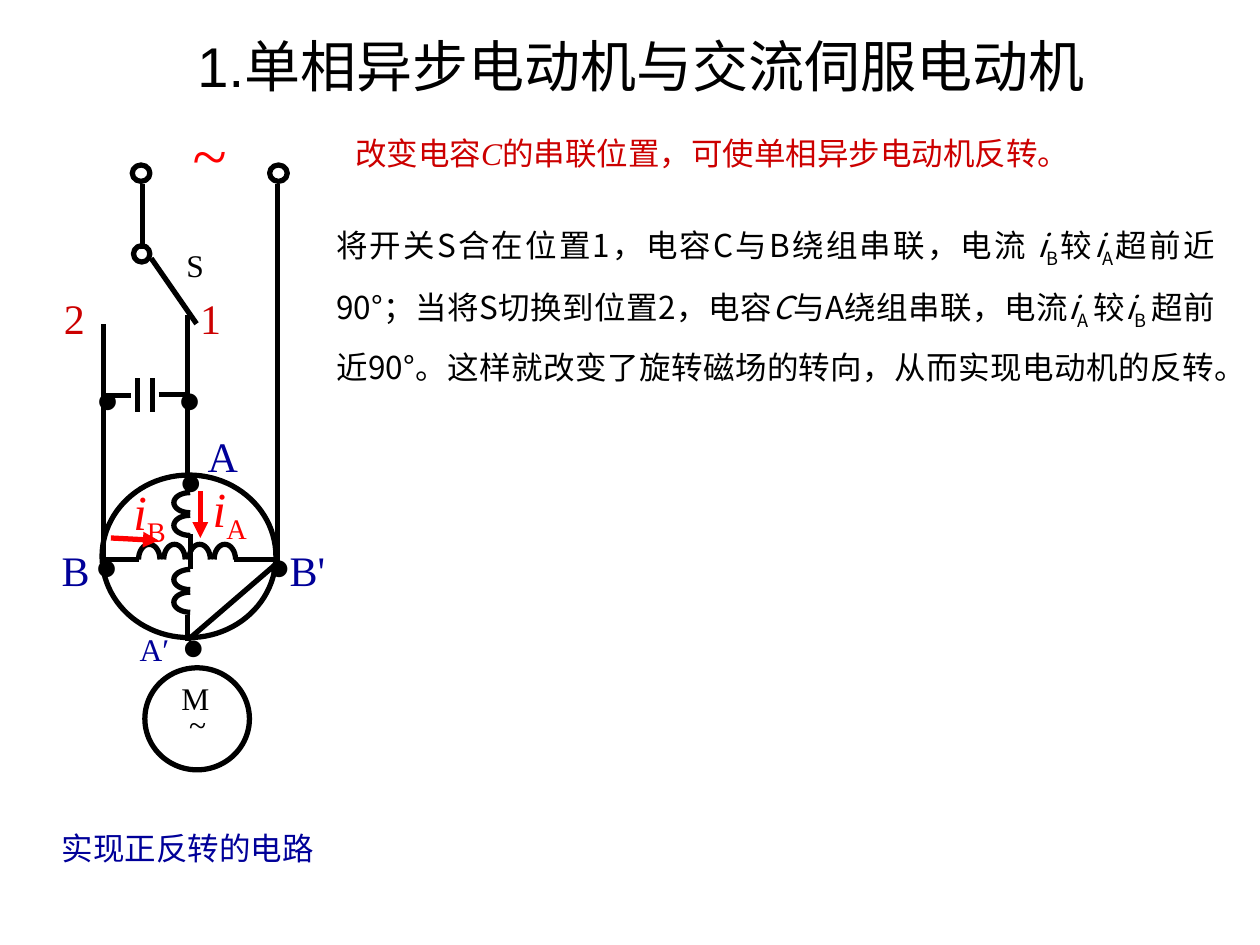
from collections import namedtuple
from math import cos, pi, sin

from lxml.etree import SubElement
from pptx import Presentation
from pptx.dml.color import RGBColor
from pptx.enum.shapes import MSO_CONNECTOR as Connector, MSO_SHAPE as Shape
from pptx.enum.text import MSO_ANCHOR as Anchor, MSO_AUTO_SIZE as AutoSize, PP_ALIGN as Align
from pptx.oxml.ns import qn
from pptx.util import Emu, Pt

EMU_PER_PX = 9144
SERIF = "Times New Roman"
SANS = "Noto Sans CJK SC"
BLACK, RED, CRIMSON, NAVY = "000000", "FF0000", "CC0000", "000099"

Box = namedtuple("Box", "left top width height")


def px(length):
    return Emu(round(length * EMU_PER_PX))


def color(value):
    return RGBColor.from_string(value)


def inside(box, left, top, width, height):
    return Box(box.left + left, box.top + top, width, height)


def add_text(page, box, paragraphs, size, ink=BLACK, font=SERIF, wrap=False,
             align=Align.LEFT, spacing=None):
    shape = page.shapes.add_textbox(*map(px, box))
    frame = shape.text_frame
    frame.word_wrap = wrap
    frame.auto_size = AutoSize.SHAPE_TO_FIT_TEXT
    for index, spans in enumerate(paragraphs):
        para = frame.paragraphs[0] if index == 0 else frame.add_paragraph()
        para.alignment = align
        if spacing:
            para.line_spacing = spacing
        para.font.size = Pt(size)
        para.font.name = font
        para.font.color.rgb = color(ink)
        for text, style in spans:
            span = para.add_run()
            span.text = text
            if style == "italic":
                span.font.italic = True
            elif style == "sub":
                span.font._element.set("baseline", "-25000")
    return frame


def add_label(page, box, place, text, size, ink=BLACK):
    add_text(page, inside(box, *place), [[(text, "")]], size, ink)


def add_dots(page, box, corners):
    for left, top in corners:
        add_label(page, box, (left, top, 40, 77), "•", 40)


def add_wire(page, box, start_x, start_y, end_x, end_y, ink=BLACK, arrow=False):
    wire = page.shapes.add_connector(
        Connector.STRAIGHT, px(box.left + start_x), px(box.top + start_y),
        px(box.left + end_x), px(box.top + end_y))
    wire.line.width = Pt(3)
    wire.line.color.rgb = color(ink)
    if arrow:
        SubElement(wire.line._get_or_add_ln(), qn("a:tailEnd"), type="triangle")
    SubElement(wire._element.spPr, qn("a:effectLst"))


def add_wires(page, box, wires):
    for wire in wires:
        add_wire(page, box, *wire)


def outline(shape):
    shape.shadow.inherit = False
    shape.fill.background()
    shape.line.width = Pt(3)
    shape.line.color.rgb = color(BLACK)


def add_ring(page, box, *place):
    outline(page.shapes.add_shape(Shape.OVAL, *map(px, inside(box, *place))))


def add_turn(page, box, center_x, center_y, radius_x, radius_y, start_angle):
    angles = [start_angle + pi * step / 16 for step in range(17)]
    points = [(px(box.left + center_x + radius_x * cos(angle)),
               px(box.top + center_y - radius_y * sin(angle))) for angle in angles]
    builder = page.shapes.build_freeform(*points[0])
    builder.add_line_segments(points[1:], close=False)
    outline(builder.convert_to_shape())


def draw_supply(page, box):
    for left, top, width in ((184, 51, 14), (75, 51, 14), (76, 115, 13)):
        add_ring(page, box, left, top, width, 13)
    add_wires(page, box, [
        (190, 366, 190, 66), (83, 118, 83, 66), (90, 125, 126, 177),
        (119, 170, 119, 295), (52, 366, 52, 177)])
    add_label(page, box, (113, 7, 46, 70), "~", 36, RED)
    add_label(page, box, (108, 110, 39, 50), "S", 18)
    for text, left in (("1", 119), ("2", 11)):
        add_label(page, box, (left, 147, 37, 50), text, 24, CRIMSON)


def draw_capacitor(page, box):
    add_wires(page, box, [(plate, 247, plate, 220) for plate in (79, 91)])
    add_wires(page, box, [(51, 234, 74, 234), (96, 233, 118, 233)])
    add_dots(page, box, [(36, 197), (101, 197)])


def draw_windings(page, box):
    add_ring(page, box, 51, 297, 138, 129)
    for index in range(4):
        add_turn(page, box, 88.5 + 20 * index, 364, 8.5, 12, 0)
    for top in (311, 329, 372, 390):
        add_turn(page, box, 121, top + 8, 13, 8, pi / 2)
    add_wires(page, box, [
        (51, 364, 80, 364), (156, 364, 192, 364), (121, 344, 121, 372),
        (119, 408, 119, 429), (119, 310, 119, 295), (119, 428, 191, 366)])
    add_dots(page, box, [(102, 262), (35, 330), (172, 330), (104, 393)])
    add_wire(page, box, 129, 310, 129, 347, RED, arrow=True)
    add_wire(page, box, 58, 347, 96, 349, RED, arrow=True)
    for phase, place in (("A", (129, 295, 50, 57)), ("B", (66, 297, 48, 57))):
        add_text(page, inside(box, *place), [[("i", "italic"), (phase, "sub")]], 28, RED)
    for text, place, size in (
            ("A", (125, 257, 44, 50), 24), ("B", (9, 347, 42, 50), 24),
            ("B'", (190, 347, 52, 50), 24), ("A′", (71, 415, 53, 50), 18)):
        add_label(page, box, place, text, size, NAVY)


def draw_motor(page, box):
    add_ring(page, box, 0, 0, 83, 81)
    add_text(page, inside(box, 19, 12, 52, 66), [[("M", "")], [(" ~", "")]], 18, spacing=0.7)


def draw_title(page, box):
    frame = add_text(page, box, [[("1.单相异步电动机与交流伺服电动机", "")]], 32,
                     font="Arial", wrap=True, align=Align.CENTER)
    frame.auto_size = AutoSize.NONE
    frame.vertical_anchor = Anchor.MIDDLE


def draw_explanation(page, box):
    add_text(page, inside(box, 15, 0, 653, 46), [[
        ("改变电容", ""), ("C", "italic"), ("的串联位置，可使单相异步电动机反转。", "")]],
        18, CRIMSON, wrap=True, spacing=1.35)
    add_text(page, inside(box, 0, 68, 717, 142), [[
        ("将开关S合在位置1，电容C与B绕组串联，电流 ", ""), ("i", "italic"), ("B", "sub"),
        ("较", ""), ("i", "italic"), ("A", "sub"),
        ("超前近90°；当将S切换到位置2，电容", ""), ("C", "italic"),
        ("与A绕组串联，电流", ""), ("i", "italic"), ("A ", "sub"),
        ("较", ""), ("i", "italic"), ("B ", "sub"),
        ("超前近90°。这样就改变了旋转磁场的转向，从而实现电动机的反转。", "")]],
        18, font=SANS, wrap=True, align=Align.JUSTIFY, spacing=1.45)


def draw_caption(page, box):
    add_text(page, box, [[("实现正反转的电路", "")]], 18, NAVY, wrap=True)


def main():
    deck = Presentation()
    deck.slide_width, deck.slide_height = px(1000), px(750)
    page = deck.slides.add_slide(deck.slide_layouts[6])
    circuit = Box(30, 80, 242, 531)
    draw_supply(page, circuit)
    draw_capacitor(page, circuit)
    draw_windings(page, circuit)
    draw_motor(page, inside(circuit, 85, 450, 83, 81))
    draw_explanation(page, Box(257, 91, 717, 210))
    draw_caption(page, Box(39, 653, 246, 40))
    draw_title(page, Box(59, 16, 900, 71))
    deck.save("out.pptx")


if __name__ == "__main__":
    main()
